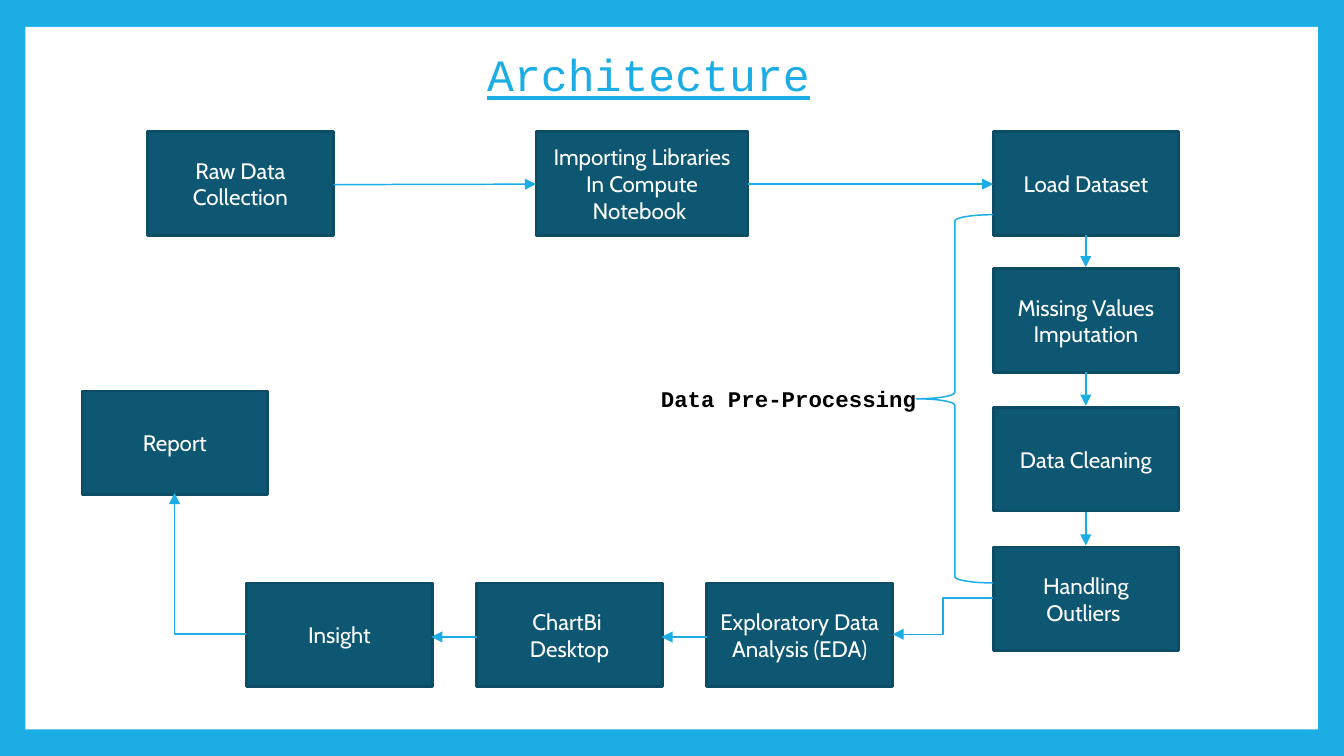
"""Build the architecture flow slide."""
from pptx import Presentation
from pptx.dml.color import RGBColor
from pptx.enum.shapes import MSO_CONNECTOR, MSO_SHAPE
from pptx.enum.text import MSO_ANCHOR, PP_ALIGN
from pptx.oxml.ns import qn
from pptx.util import Cm, Pt
from lxml import etree

RECT, BRACE = MSO_SHAPE.RECTANGLE, MSO_SHAPE.LEFT_BRACE
LINE, ELBOW = MSO_CONNECTOR.STRAIGHT, MSO_CONNECTOR.ELBOW
CENTER, LEFT = PP_ALIGN.CENTER, PP_ALIGN.LEFT
MIDDLE, TOP = MSO_ANCHOR.MIDDLE, MSO_ANCHOR.TOP

HEX = {"sky": "1CADE4", "panel": "FFFFFF", "box": "0E5772",
       "edge": "0C4C64", "ink": "000000"}
BODY = {"name": "Cabin", "size": Pt(12)}
TITLE = {"name": "Courier New", "size": Pt(24), "underline": True}
LABEL = {"name": "Courier New", "size": Pt(12), "bold": True}

WIDE, HIGH = 3.51, 1.96
ROW, COL, BASE = 2.49, 18.77, 11.02
BOXES = [
    ("Raw Data Collection", 2.79, ROW, WIDE),
    ("Importing Libraries In Compute Notebook ", 10.13, ROW, 4.01),
    ("Load Dataset", COL, ROW, WIDE),
    ("Missing Values Imputation", COL, 5.08, WIDE),
    ("Data Cleaning", COL, 7.7, WIDE),
    ("Handling Outliers ", COL, 10.34, WIDE),
    ("Exploratory Data Analysis (EDA)", 13.36, BASE, WIDE),
    ("ChartBi \nDesktop", 9.01, BASE, WIDE),
    ("Insight", 4.66, BASE, WIDE),
    ("Report", 1.55, 7.39, WIDE),
]
MID = 20.52
ARROWS = [
    (6.3, 3.49, 10.13, 3.48),
    (14.14, 3.48, COL, 3.48),
    (MID, 4.45, MID, 5.05),
    (MID, 7.04, MID, 7.67),
    (MID, 9.68, MID, 10.31),
    (13.36, 12.04, 12.5, 12.04),
    (9.01, 12.04, 8.15, 12.04),
]


def color(key):
    """Return the named colour."""
    return RGBColor.from_string(HEX[key])


def stroke(item, key, width):
    """Give a shape or line its stroke."""
    item.line.color.rgb = color(key)
    item.line.width = Pt(width)


def write(shape, text, font, tint, align=CENTER, anchor=TOP, space=1.0):
    """Fill a shape with formatted paragraphs."""
    frame = shape.text_frame
    frame.word_wrap = True
    frame.vertical_anchor = anchor
    frame.text = text
    for para in frame.paragraphs:
        para.alignment = align
        para.line_spacing = space
        for run in para.runs:
            run.font.color.rgb = color(tint)
            for name, value in font.items():
                setattr(run.font, name, value)
    return frame


def add_form(slide, kind, place, fill=None):
    """Add a preset shape without a shadow."""
    shape = slide.shapes.add_shape(kind, *map(Cm, place))
    shape.shadow.inherit = False
    if fill:
        shape.fill.solid()
        shape.fill.fore_color.rgb = color(fill)
    else:
        shape.fill.background()
    return shape


def add_box(slide, text, left, top, width):
    """Add one step of the flow."""
    box = add_form(slide, RECT, (left, top, width, HIGH), "box")
    stroke(box, "edge", 1.5)
    write(box, text, BODY, "panel", anchor=MIDDLE)


def add_text(slide, text, place, font, tint, **style):
    """Add a free text box and return its frame."""
    box = slide.shapes.add_textbox(*map(Cm, place))
    return write(box, text, font, tint, **style)


def add_arrow(slide, ends, kind=LINE, preset=None):
    """Add a connector with a triangle at its end."""
    arrow = slide.shapes.add_connector(kind, *map(Cm, ends))
    stroke(arrow, "sky", 0.79)
    props = arrow._element.spPr
    if preset:
        props.find(qn("a:prstGeom")).set("prst", preset)
    etree.SubElement(props.find(qn("a:ln")), qn("a:tailEnd"), type="triangle")
    etree.SubElement(props, qn("a:effectLst"))


def main():
    """Build and save the slide."""
    deck = Presentation()
    deck.slide_width, deck.slide_height = Cm(25.4), Cm(14.29)
    slide = deck.slides.add_slide(deck.slide_layouts[6])
    back = slide.background.fill
    back.solid()
    back.fore_color.rgb = color("sky")
    panel = add_form(slide, RECT, (0.48, 0.51, 24.43, 13.28), "panel")
    panel.line.fill.background()

    title = add_text(slide, "Architecture", (6.17, 0.74, 12.17, 1.57),
                     TITLE, "sky", space=0.9)
    title.margin_top = title.margin_bottom = Cm(0.25)
    for box in BOXES:
        add_box(slide, *box)
    for ends in ARROWS:
        add_arrow(slide, ends)
    add_arrow(slide, (4.66, 11.99, 3.3, 9.32), ELBOW, "bentConnector2")
    add_arrow(slide, (COL, 11.3, 16.87, 11.99), ELBOW)
    brace = add_form(slide, BRACE, (17.32, 4.06, 1.45, 6.96))
    stroke(brace, "sky", 0.79)
    add_text(slide, "Data Pre-Processing", (12.24, 7.16, 6.73, 0.76),
             LABEL, "ink", align=LEFT)
    deck.save("out.pptx")


if __name__ == "__main__":
    main()
